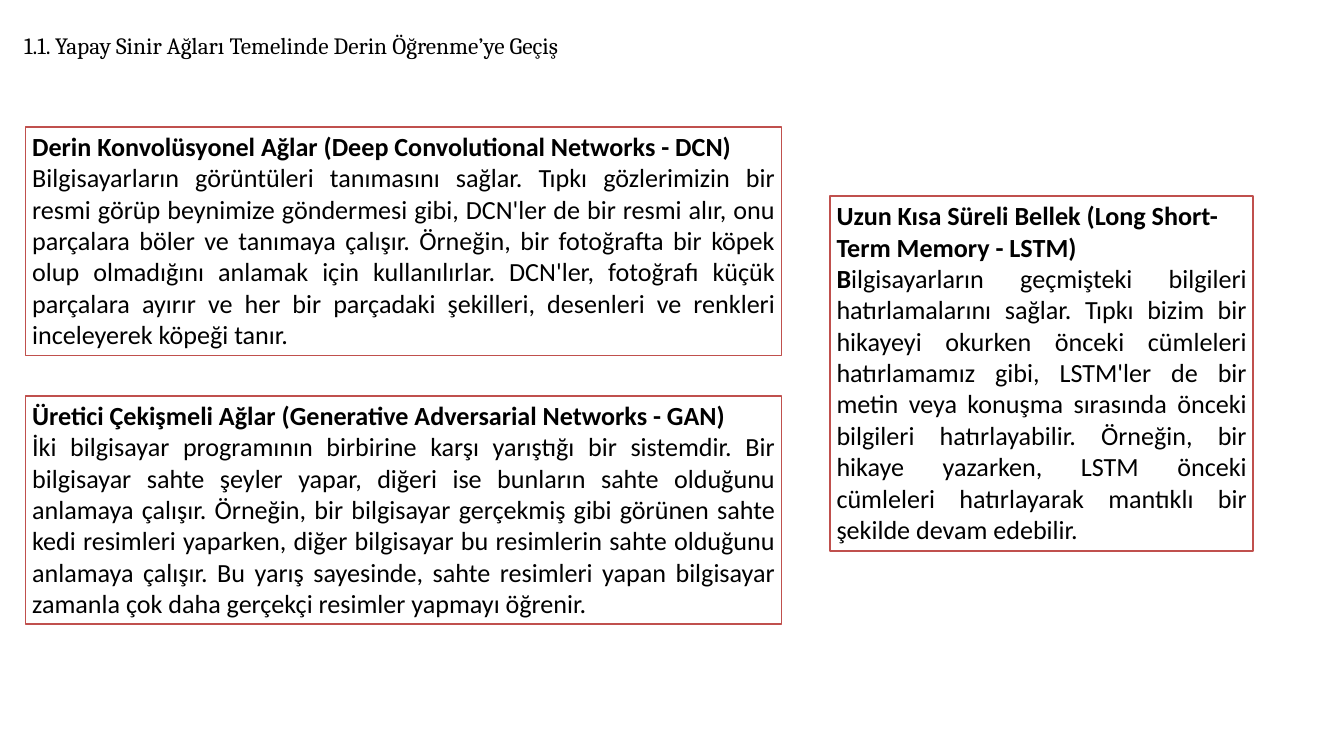
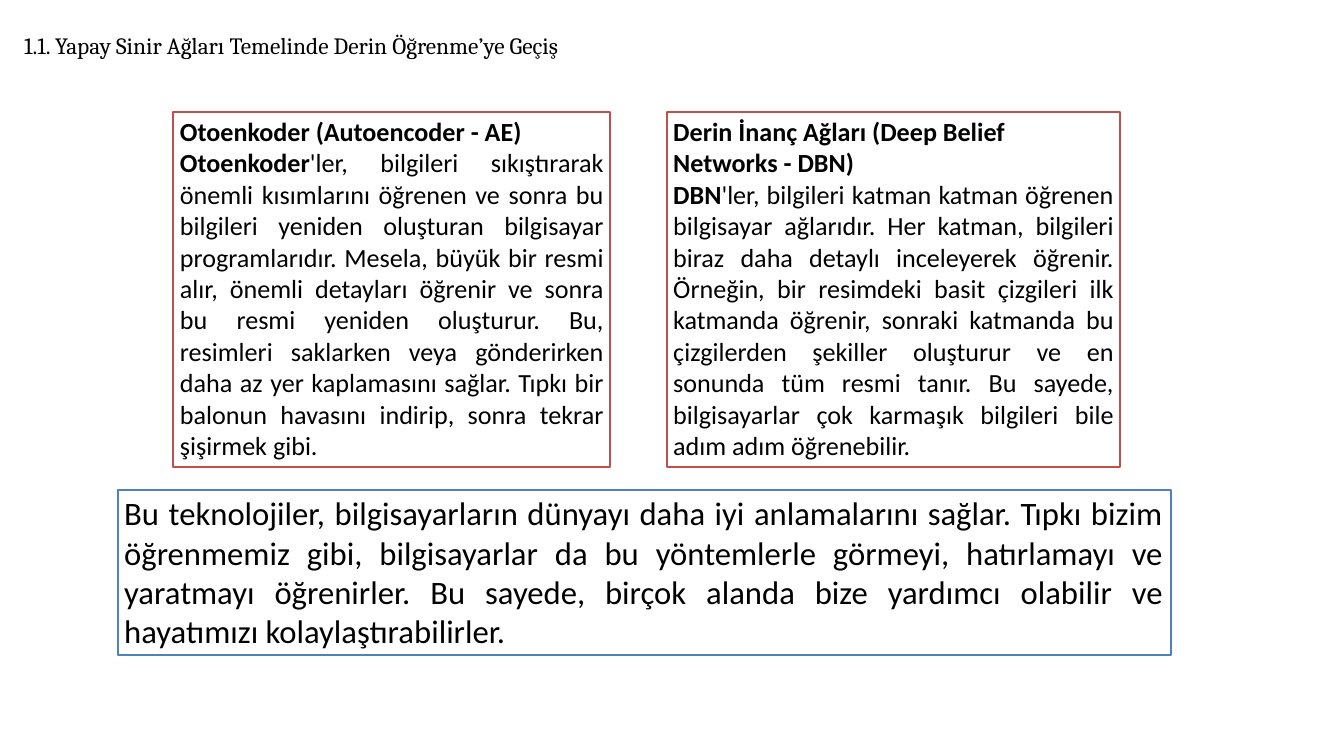
"""Build two slides that introduce deep learning architectures in framed text cards."""
from dataclasses import dataclass

from pptx import Presentation
from pptx.dml.color import RGBColor
from pptx.enum.shapes import MSO_SHAPE
from pptx.enum.text import MSO_ANCHOR, MSO_AUTO_SIZE, PP_ALIGN
from pptx.util import Inches, Pt

RECTANGLE = MSO_SHAPE.RECTANGLE
LEFT, JUSTIFY = PP_ALIGN.LEFT, PP_ALIGN.JUSTIFY
TOP = MSO_ANCHOR.TOP
GROW = MSO_AUTO_SIZE.SHAPE_TO_FIT_TEXT


@dataclass(frozen=True)
class Theme:
    ink: RGBColor = RGBColor(0x00, 0x00, 0x00)
    paper: RGBColor = RGBColor(0xFF, 0xFF, 0xFF)
    red: RGBColor = RGBColor(0xC0, 0x50, 0x4D)
    blue: RGBColor = RGBColor(0x4F, 0x81, 0xBD)
    title_font: str = "Cambria"
    body_font: str = "Calibri"
    title_size: int = 25
    title_leading: int = 35
    body_size: int = 28
    summary_size: int = 35
    frame: int = 2


theme = Theme()
deck = Presentation()
deck.slide_width, deck.slide_height = Inches(20), Inches(11.25)
COLUMN, ROW = deck.slide_width / 100, deck.slide_height / 100


def place(column, row, columns, rows):
    return [round(n) for n in (column * COLUMN, row * ROW, columns * COLUMN, rows * ROW)]


def write(paragraph, runs, font, size, align):
    paragraph.alignment = align
    for words, bold in runs:
        run = paragraph.add_run()
        run.text = words
        run.font.name = font
        run.font.size = Pt(size)
        run.font.bold = bold
        run.font.color.rgb = theme.ink


HEADING = "1.1. Yapay Sinir Ağları Temelinde Derin Öğrenme’ye Geçiş"
WIDE_COLUMNS, WIDE_ROWS, TALL_ROWS = 56.25, 30.22, 46.93
AE_DBN_ROW = 14.84

dcn = [
    ([("Derin Konvolüsyonel Ağlar (Deep Convolutional Networks - DCN)", True)], JUSTIFY),
    ([("Bilgisayarların görüntüleri tanımasını sağlar. Tıpkı gözlerimizin bir resmi görüp "
       "beynimize göndermesi gibi, DCN'ler de bir resmi alır, onu parçalara böler ve tanımaya "
       "çalışır. Örneğin, bir fotoğrafta bir köpek olup olmadığını anlamak için kullanılırlar. "
       "DCN'ler, fotoğrafı küçük parçalara ayırır ve her bir parçadaki şekilleri, desenleri ve "
       "renkleri inceleyerek köpeği tanır.", False)], JUSTIFY),
]
gan = [
    ([("Üretici Çekişmeli Ağlar (Generative Adversarial Networks - GAN)", True)], JUSTIFY),
    ([("İki bilgisayar programının birbirine karşı yarıştığı bir sistemdir. Bir bilgisayar sahte "
       "şeyler yapar, diğeri ise bunların sahte olduğunu anlamaya çalışır. Örneğin, bir "
       "bilgisayar gerçekmiş gibi görünen sahte kedi resimleri yaparken, diğer bilgisayar bu "
       "resimlerin sahte olduğunu anlamaya çalışır. Bu yarış sayesinde, sahte resimleri yapan "
       "bilgisayar zamanla çok daha gerçekçi resimler yapmayı öğrenir.", False)], JUSTIFY),
]
lstm = [
    ([("Uzun Kısa Süreli Bellek (Long Short-Term Memory - LSTM)", True)], LEFT),
    ([("B", True),
      ("ilgisayarların geçmişteki bilgileri hatırlamalarını sağlar. Tıpkı bizim bir hikayeyi "
       "okurken önceki cümleleri hatırlamamız gibi, LSTM'ler de bir metin veya konuşma sırasında "
       "önceki bilgileri hatırlayabilir. Örneğin, bir hikaye yazarken, LSTM önceki cümleleri "
       "hatırlayarak mantıklı bir şekilde devam edebilir.", False)], JUSTIFY),
]
autoencoder = [
    ([("Otoenkoder (Autoencoder - AE)", True)], LEFT),
    ([("Otoenkoder", True),
      ("'ler, bilgileri sıkıştırarak önemli kısımlarını öğrenen ve sonra bu bilgileri yeniden "
       "oluşturan bilgisayar programlarıdır. Mesela, büyük bir resmi alır, önemli detayları "
       "öğrenir ve sonra bu resmi yeniden oluşturur. Bu, resimleri saklarken veya gönderirken "
       "daha az yer kaplamasını sağlar. Tıpkı bir balonun havasını indirip, sonra tekrar "
       "şişirmek gibi.", False)], JUSTIFY),
]
dbn = [
    ([("Derin İnanç Ağları (Deep Belief Networks - DBN)", True)], LEFT),
    ([("DBN", True),
      ("'ler, bilgileri katman katman öğrenen bilgisayar ağlarıdır. Her katman, bilgileri biraz "
       "daha detaylı inceleyerek öğrenir. Örneğin, bir resimdeki basit çizgileri ilk katmanda "
       "öğrenir, sonraki katmanda bu çizgilerden şekiller oluşturur ve en sonunda tüm resmi "
       "tanır. Bu sayede, bilgisayarlar çok karmaşık bilgileri bile adım adım öğrenebilir.",
       False)], JUSTIFY),
]
summary = [
    ([("Bu teknolojiler, bilgisayarların dünyayı daha iyi anlamalarını sağlar. Tıpkı bizim "
       "öğrenmemiz gibi, bilgisayarlar da bu yöntemlerle görmeyi, hatırlamayı ve yaratmayı "
       "öğrenirler. Bu sayede, birçok alanda bize yardımcı olabilir ve hayatımızı "
       "kolaylaştırabilirler.", False)], JUSTIFY),
]

lessons = [
    [
        ((1.9, 16.8, WIDE_COLUMNS, WIDE_ROWS), theme.red, theme.body_size, dcn),
        ((1.9, 52.36, WIDE_COLUMNS, WIDE_ROWS), theme.red, theme.body_size, gan),
        ((61.75, 25.96, 31.5, TALL_ROWS), theme.red, theme.body_size, lstm),
    ],
    [
        ((12.9, AE_DBN_ROW, 32.5, TALL_ROWS), theme.red, theme.body_size, autoencoder),
        ((49.6, AE_DBN_ROW, 33.75, TALL_ROWS), theme.red, theme.body_size, dbn),
        ((8.75, 64.8, 78.35, 21.87), theme.blue, theme.summary_size, summary),
    ],
]

for cards in lessons:
    slide = deck.slides.add_slide(deck.slide_layouts[6])

    heading = slide.shapes.add_textbox(*place(1.8, 3.47, 60, 4.09)).text_frame
    heading.margin_left = heading.margin_right = heading.margin_top = heading.margin_bottom = 0
    heading.word_wrap = True
    heading.auto_size = GROW
    heading.paragraphs[0].line_spacing = Pt(theme.title_leading)
    write(heading.paragraphs[0], [(HEADING, False)], theme.title_font, theme.title_size, LEFT)

    for area, frame_color, size, paragraphs in cards:
        card = slide.shapes.add_shape(RECTANGLE, *place(*area))
        card.shadow.inherit = False
        card.fill.solid()
        card.fill.fore_color.rgb = theme.paper
        card.line.color.rgb = frame_color
        card.line.width = Pt(theme.frame)
        body = card.text_frame
        body.word_wrap = True
        body.auto_size = GROW
        body.vertical_anchor = TOP
        for index, (runs, align) in enumerate(paragraphs):
            paragraph = body.add_paragraph() if index else body.paragraphs[0]
            write(paragraph, runs, theme.body_font, size, align)

deck.save("out.pptx")
